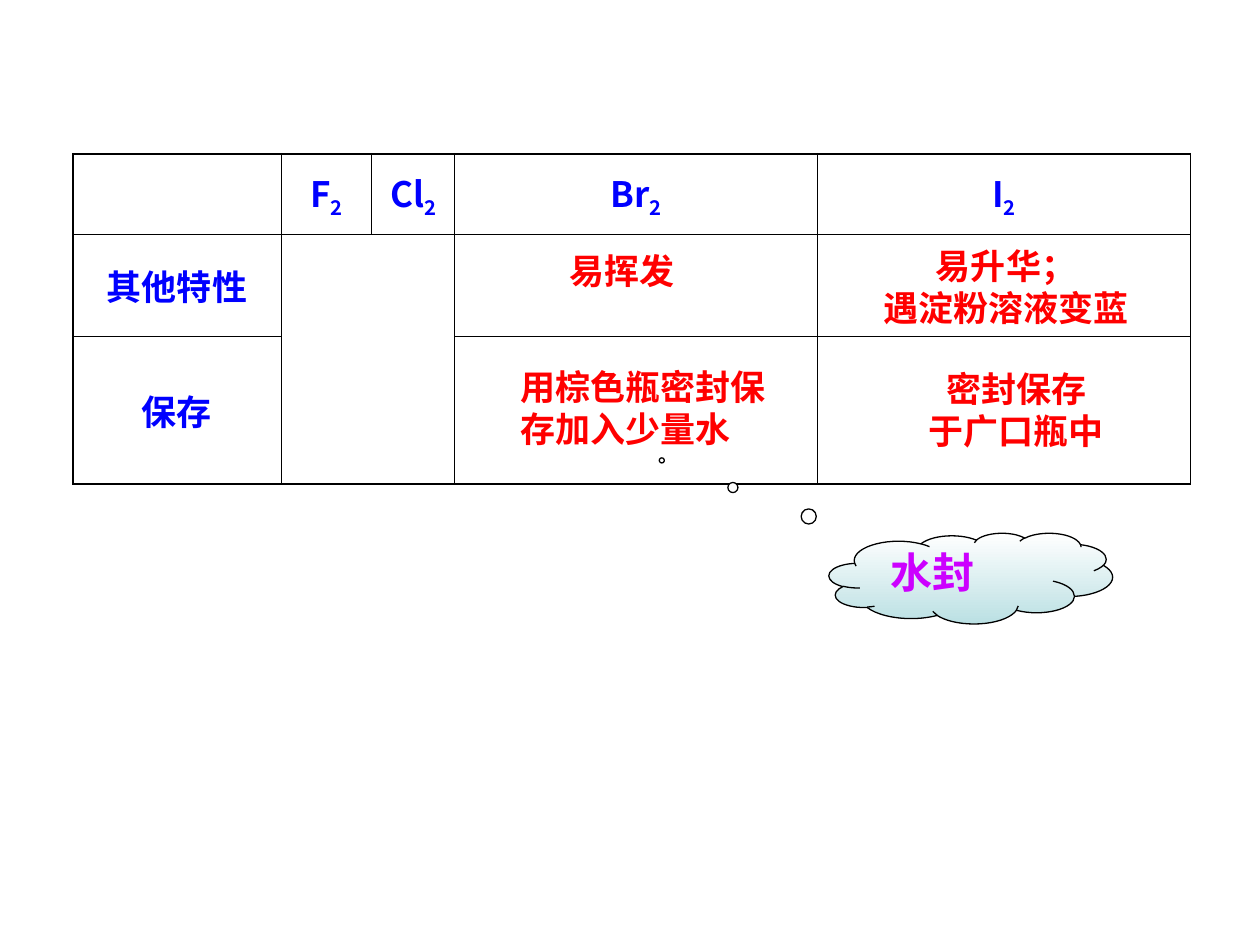
from dataclasses import dataclass

from lxml import etree
from pptx import Presentation, util as u
from pptx.dml.color import RGBColor
from pptx.enum import shapes, text
from pptx.oxml import ns

PX = 9144  # 100 px to the inch


@dataclass(frozen=True)
class Theme:
    font: str = "Noto Sans CJK SC"
    heading: str = "0000FF"
    answer: str = "FF0000"
    remark: str = "CC00FF"
    line: str = "000000"
    cloud: tuple = ("FFFFFF", "BBE0E3")
    body_size: int = 20
    remark_size: int = 24
    inner_line: float = 0.45
    outer_line: float = 1.08
    cloud_line: float = 0.75


THEME = Theme()
CENTER, LEFT = text.PP_ALIGN.CENTER, text.PP_ALIGN.LEFT


def px(*lengths):
    return [u.Emu(length * PX) for length in lengths]


def write_run(paragraph, words, color, size, subscript=False):
    run = paragraph.add_run()
    run.text = words
    formats = {"name": THEME.font, "size": u.Pt(size), "bold": True}
    for key, value in formats.items():
        setattr(run.font, key, value)
    run.font.color.rgb = RGBColor.from_string(color)
    properties = run.font._element
    east_asian = etree.Element(ns.qn("a:ea"), typeface=THEME.font)
    properties.find(ns.qn("a:latin")).addnext(east_asian)
    if subscript:
        properties.set("baseline", "-25000")


def draw_borders(cell, widths):
    """Give the four sides in the order left, right, top, bottom."""
    properties = cell._tc.get_or_add_tcPr()
    for index, (side, width) in enumerate(zip("LRTB", widths)):
        border = etree.Element(ns.qn(f"a:ln{side}"), w=str(u.Pt(width)))
        fill = etree.SubElement(border, ns.qn("a:solidFill"))
        etree.SubElement(fill, ns.qn("a:srgbClr"), val=THEME.line)
        properties.insert(index, border)


def add_halogen_table(slide, box, columns, rows, headings):
    table = slide.shapes.add_table(len(rows), len(columns), *px(*box)).table
    table.first_row = table.horz_banding = False
    for column, width in zip(table.columns, px(*columns)):
        column.width = width
    for row, height in zip(table.rows, px(*rows)):
        row.height = height
    table.cell(1, 1).merge(table.cell(2, 2))

    # Thick frame, thin inner lines
    for r in range(len(rows)):
        for c in range(len(columns)):
            cell = table.cell(r, c)
            cell.fill.background()
            if cell.is_spanned:
                continue
            right = c + (cell.span_width if cell.is_merge_origin else 1)
            bottom = r + (cell.span_height if cell.is_merge_origin else 1)
            on_frame = (c == 0, right == len(columns), r == 0, bottom == len(rows))
            draw_borders(cell, [THEME.outer_line if outer else THEME.inner_line
                                for outer in on_frame])

    # Column and row headings
    for (r, c), (name, subscript) in headings.items():
        cell = table.cell(r, c)
        cell.vertical_anchor = text.MSO_ANCHOR.MIDDLE
        paragraph = cell.text_frame.paragraphs[0]
        paragraph.alignment = CENTER
        write_run(paragraph, name, THEME.heading, THEME.body_size)
        if subscript:
            write_run(paragraph, subscript, THEME.heading, THEME.body_size, True)


def add_note(slide, box, lines, align=CENTER, color=THEME.answer, size=THEME.body_size):
    frame = slide.shapes.add_textbox(*px(*box)).text_frame
    frame.word_wrap = True
    for index, line in enumerate(lines):
        paragraph = frame.add_paragraph() if index else frame.paragraphs[0]
        paragraph.alignment = align
        write_run(paragraph, line, color, size)


def add_water_seal(slide, box, words):
    left, top, width, height = box
    cloud = slide.shapes.add_shape(shapes.MSO_SHAPE.CLOUD_CALLOUT, *px(*box))
    cloud.shadow.inherit = False
    # Tail points to the storage of bromine
    cloud.adjustments[0], cloud.adjustments[1] = -1.09, -1.3
    cloud.fill.gradient()
    cloud.fill.gradient_angle = 270
    for position, (stop, color) in enumerate(zip(cloud.fill.gradient_stops, THEME.cloud)):
        stop.position = position
        stop.color.rgb = RGBColor.from_string(color)
    cloud.line.color.rgb = RGBColor.from_string(THEME.line)
    cloud.line.width = u.Pt(THEME.cloud_line)
    add_note(slide, (left + 39, top + 6, width - 56, height - 22), [words],
             LEFT, THEME.remark, THEME.remark_size)


def main():
    presentation = Presentation()
    presentation.slide_width, presentation.slide_height = px(1000, 750)
    slide = presentation.slides.add_slide(presentation.slide_layouts[6])

    headings = {(0, column): (element, "2")
                for column, element in enumerate(["F", "Cl", "Br", "I"], start=1)}
    headings.update({(1, 0): ("其他特性", ""), (2, 0): ("保存", "")})
    add_halogen_table(slide, (58, 122, 887, 262), (165, 72, 66, 288, 296),
                      (64, 81, 117), headings)

    # Properties and storage of bromine and iodine
    add_note(slide, (366, 193, 255, 44), ["易挥发"])
    add_note(slide, (652, 189, 293, 77), ["易升华；", "遇淀粉溶液变蓝"])
    add_note(slide, (403, 285, 232, 77), ["用棕色瓶密封保", "存加入少量水"], LEFT)
    add_note(slide, (702, 287, 209, 77), ["密封保存", "于广口瓶中"])
    add_water_seal(slide, (658, 423, 225, 72), "水封")

    presentation.save("out.pptx")


if __name__ == "__main__":
    main()
